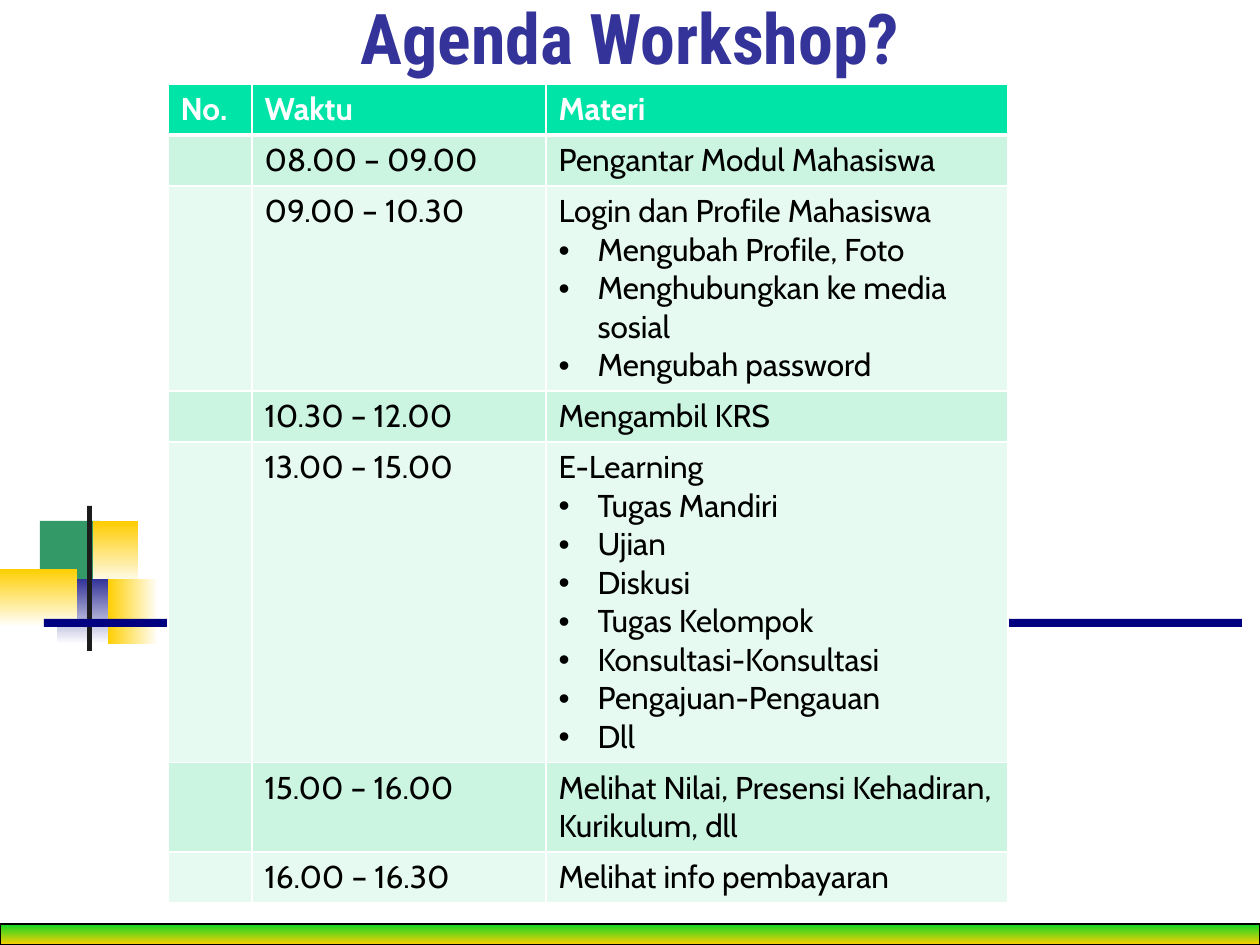
from dataclasses import dataclass

from lxml import etree
from pptx import Presentation
from pptx import util as u
from pptx.dml.color import RGBColor
from pptx.enum import shapes, text
from pptx.oxml.ns import qn


@dataclass(frozen=True)
class Theme:
    white: str = "FFFFFF"
    black: str = "000000"
    indigo: str = "333399"
    navy: str = "000080"
    green: str = "339966"
    gold: str = "FFCC00"
    amber: str = "FFCF01"
    lime: str = "0ED626"
    charcoal: str = "1C1C1C"
    header: str = "00E4A8"
    bands: tuple = ("CCF5E1", "E7FAF1")
    title_font: str = "Roboto Condensed"
    body_font: str = "Cabin"
    title_size: int = 40
    body_size: int = 18


THEME = Theme()
DOWN, RIGHT = 270, 0  # gradient directions, counter-clockwise degrees
BULLET_INDENT = 39
ROW_HEIGHT = 51
COLUMN_WIDTHS = (84, 294, 462)
HEADINGS = ("No.", "Waktu", "Materi")
AGENDA = (
    ("08.00 – 09.00", "Pengantar Modul Mahasiswa", ()),
    ("09.00 – 10.30", "Login dan Profile Mahasiswa",
     ("Mengubah Profile, Foto", "Menghubungkan ke media sosial", "Mengubah password")),
    ("10.30 – 12.00", "Mengambil KRS", ()),
    ("13.00 – 15.00", "E-Learning",
     ("Tugas Mandiri", "Ujian", "Diskusi", "Tugas Kelompok",
      "Konsultasi-Konsultasi", "Pengajuan-Pengauan", "Dll")),
    ("15.00 – 16.00", "Melihat Nilai, Presensi Kehadiran, Kurikulum, dll", ()),
    ("16.00 – 16.30", "Melihat info pembayaran", ()),
)


def px(length):
    return u.Emu(round(length * 914400 / 126))


def rgb(color):
    return RGBColor.from_string(color)


def write(paragraph, words, size=THEME.body_size, font=THEME.body_font,
          color=THEME.black, bold=False, align=None, bullet=False):
    if bullet:
        properties = paragraph._p.get_or_add_pPr()
        properties.set("marL", str(px(BULLET_INDENT)))
        properties.set("indent", str(-px(BULLET_INDENT)))
        etree.SubElement(properties, qn("a:buFont"), typeface="Arial")
        etree.SubElement(properties, qn("a:buChar"), char="•")
    paragraph.alignment = align
    run = paragraph.add_run()
    run.text = words
    run.font.size = u.Pt(size)
    run.font.name = font
    run.font.bold = bold
    run.font.color.rgb = rgb(color)


def add_block(slide, box, colors, angle=DOWN, outline=None):
    """Add a rectangle with one solid colour or a two-colour gradient."""
    shape = slide.shapes.add_shape(shapes.MSO_SHAPE.RECTANGLE, *map(px, box))
    shape.shadow.inherit = False
    if len(colors) == 1:
        shape.fill.solid()
        shape.fill.fore_color.rgb = rgb(colors[0])
    else:
        shape.fill.gradient()
        shape.fill.gradient_angle = angle
        for position, (stop, color) in enumerate(zip(shape.fill.gradient_stops, colors)):
            stop.position = position
            stop.color.rgb = rgb(color)
    if outline:
        shape.line.color.rgb = rgb(outline)
        shape.line.width = u.Pt(0.75)
    else:
        shape.line.fill.background()


def add_decoration(slide):
    add_block(slide, (40, 521, 60, 65), [THEME.green])
    add_block(slide, (93, 521, 45, 65), [THEME.gold, THEME.white])
    add_block(slide, (57, 579, 58, 65), [THEME.indigo, THEME.white])
    add_block(slide, (108, 579, 50, 65), [THEME.amber, THEME.white], RIGHT)
    add_block(slide, (0, 569, 77, 58), [THEME.amber, THEME.white])
    add_block(slide, (87, 506, 5, 145), [THEME.charcoal])
    add_block(slide, (44, 619, 1198, 8), [THEME.navy])
    add_block(slide, (0, 924, 1260, 21), [THEME.lime, THEME.amber], outline=THEME.black)


def set_title(slide, words):
    title = slide.shapes.title
    title.left, title.top, title.width, title.height = map(px, (42, 10, 1176, 116))
    frame = title.text_frame
    frame.word_wrap = True
    frame.auto_size = text.MSO_AUTO_SIZE.NONE
    frame.vertical_anchor = text.MSO_ANCHOR.BOTTOM
    frame.margin_top, frame.margin_bottom = 0, px(47)
    write(frame.paragraphs[0], words, size=THEME.title_size, font=THEME.title_font,
          color=THEME.indigo, bold=True, align=text.PP_ALIGN.CENTER)


def style_cell(cell, color, top=1, bottom=1):
    """Fill a cell and give it white borders, with widths in points."""
    properties = cell._tc.get_or_add_tcPr()
    for side, width in (("L", 1), ("R", 1), ("T", top), ("B", bottom)):
        line = etree.SubElement(properties, qn(f"a:ln{side}"), w=str(u.Pt(width)))
        fill = etree.SubElement(line, qn("a:solidFill"))
        etree.SubElement(fill, qn("a:srgbClr"), val=THEME.white)
    cell.fill.solid()
    cell.fill.fore_color.rgb = rgb(color)


def add_agenda(slide):
    frame = slide.shapes.add_table(len(AGENDA) + 1, len(HEADINGS),
                                   *map(px, (168, 84, sum(COLUMN_WIDTHS), 809)))
    table = frame.table
    for column, width in zip(table.columns, COLUMN_WIDTHS):
        column.width = px(width)
    for row in table.rows:
        row.height = px(ROW_HEIGHT)
    frame.height = px(809)

    for cell, heading in zip(table.rows[0].cells, HEADINGS):
        style_cell(cell, THEME.header, bottom=3)
        write(cell.text_frame.paragraphs[0], heading, color=THEME.white, bold=True)

    for index, (time, topic, details) in enumerate(AGENDA):
        cells = list(table.rows[index + 1].cells)
        for cell in cells:
            style_cell(cell, THEME.bands[index % 2], top=1 if index else 3)
        write(cells[1].text_frame.paragraphs[0], time)
        write(cells[2].text_frame.paragraphs[0], topic)
        for detail in details:
            write(cells[2].text_frame.add_paragraph(), detail, bullet=True)


def main():
    presentation = Presentation()
    presentation.slide_width, presentation.slide_height = px(1260), px(945)
    slide = presentation.slides.add_slide(presentation.slide_layouts.get_by_name("Title Only"))
    add_decoration(slide)
    set_title(slide, "Agenda Workshop?")
    add_agenda(slide)
    presentation.save("out.pptx")


if __name__ == "__main__":
    main()
